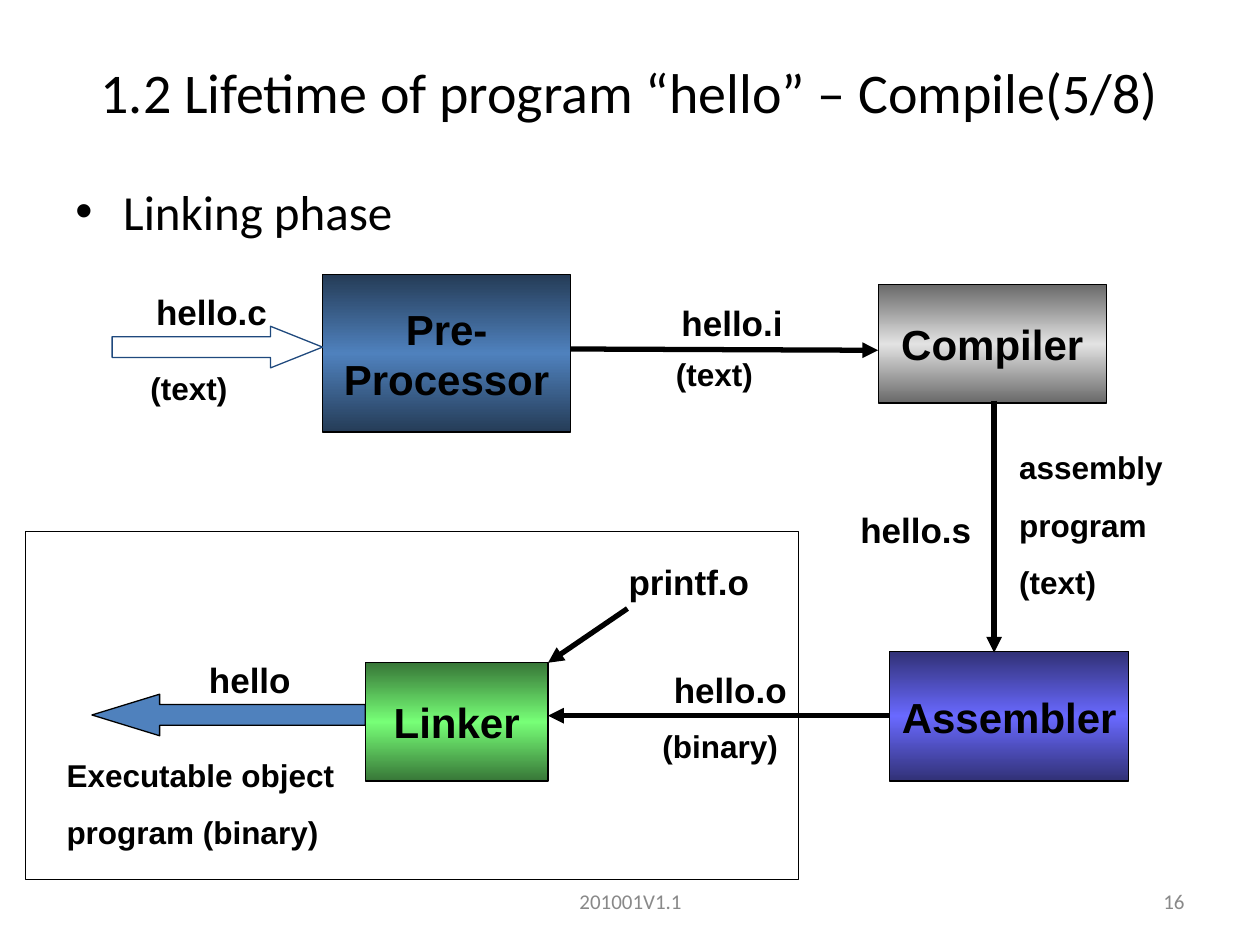
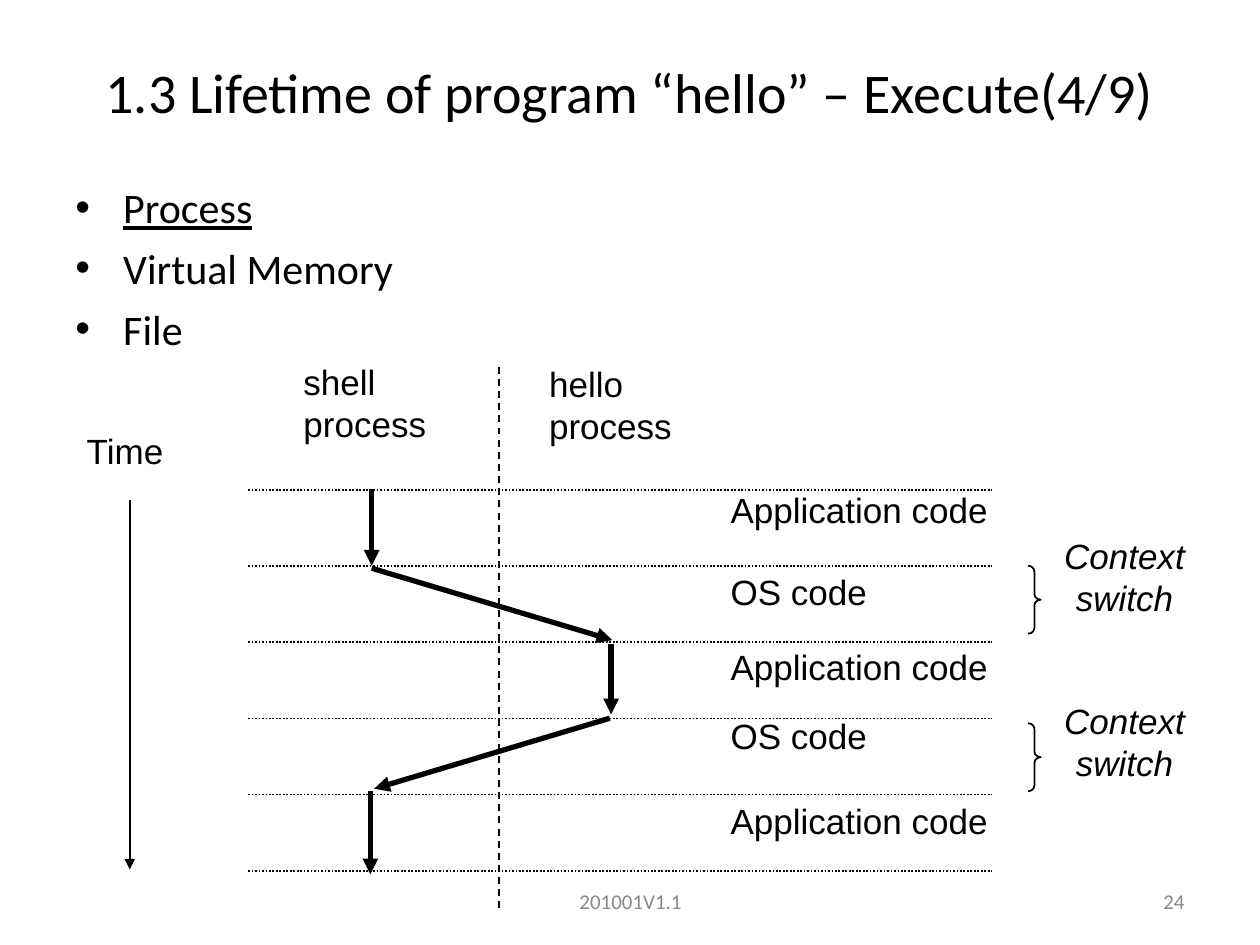
from lxml.etree import SubElement
from pptx import Presentation
from pptx.dml.color import RGBColor
from pptx.enum.dml import MSO_LINE
from pptx.enum.shapes import MSO_CONNECTOR, MSO_SHAPE
from pptx.enum.text import MSO_ANCHOR, MSO_AUTO_SIZE, PP_ALIGN
from pptx.oxml import parse_xml
from pptx.oxml.ns import nsdecls, qn
from pptx.util import Inches, Pt

BLACK, GREY, BLUE, NAVY = "000000", "898989", "4F81BD", "1F497D"
HEADING, DIAGRAM = "Calibri", "Arial"
LEFT, CENTER, RIGHT = PP_ALIGN.LEFT, PP_ALIGN.CENTER, PP_ALIGN.RIGHT
FOOTER = "201001V1.1"

COMPILE = {
    "title": "1.2 Lifetime of program “hello” – Compile(5/8)",
    "number": "16",
    "bullets": [("Linking phase", False)],
    "bullet_size": 28,
    "bullet_gap": 7,
}
EXECUTE = {
    "title": "1.3 Lifetime of program “hello” – Execute(4/9)",
    "number": "24",
    "bullets": [("Process", True), ("Virtual Memory", False), ("File", False)],
    "bullet_size": 24,
    "bullet_gap": 6,
}

STAGES = [
    (["Pre-", "Processor"], (2.56, 2.18, 1.97, 1.25), "253C57", BLUE),
    (["Compiler"], (6.97, 2.26, 1.81, 0.94), "696969", "E2E2E2"),
    (["Assembler"], (7.06, 5.17, 1.9, 1.03), "313176", "6969FF"),
    (["Linker"], (2.9, 5.26, 1.45, 0.94), "377637", "77FF77"),
]
FILE_NAMES = [
    ("hello.c", (1.14, 2.26, 1.2, 0.44)),
    ("hello.i", (5.31, 2.34, 1.15, 0.44)),
    ("hello.s", (6.73, 3.99, 1.2, 0.44)),
    ("hello.o", (5.25, 5.26, 1.2, 0.44)),
    ("hello", (1.56, 5.18, 1, 0.44)),
    ("printf.o", (4.89, 4.4, 1.3, 0.44)),
]
FILE_KINDS = [
    (["(text)"], (0.73, 2.88, 1.54, 0.4), CENTER),
    (["(text)"], (5.08, 2.77, 1.18, 0.4), CENTER),
    (["assembly", "program", "(text)"], (7.99, 3.51, 1.53, 1.32), LEFT),
    (["(binary)"], (5.16, 5.72, 1.23, 0.4), LEFT),
    (["Executable object", "program (binary)"], (0.43, 5.95, 2.36, 0.86), LEFT),
]
STAGE_ARROWS = [
    ((4.53, 2.77), (6.97, 2.78)),
    ((7.89, 3.18), (7.89, 5.18)),
    ((7.06, 5.68), (4.35, 5.68)),
    ((4.98, 4.83), (4.35, 5.26)),
]
INPUT_ARROW = (0.89, 2.59, 1.67, 0.33)
OUTPUT_ARROW = (0.73, 5.51, 2.17, 0.33)
LINKING_FRAME = (0.2, 4.22, 6.14, 2.76)

COLUMN_HEADS = [
    (["shell", "process"], (2.31, 2.81, 1.6, 0.77)),
    (["hello", "process"], (4.26, 2.83, 1.3, 0.77)),
    (["Time"], (0.59, 3.36, 1, 0.44)),
]
CODE_PERIODS = [
    ("Application code", 3.83),
    ("OS code", 4.48),
    ("Application code", 5.07),
    ("OS code", 5.62),
    ("Application code", 6.3),
]
FIRST_ROW, LAST_ROW = 3.89, 6.91
CONTROL_FLOW = [
    ((2.95, 3.88), (2.95, 4.49)),
    ((2.95, 4.51), (4.86, 5.08)),
    ((4.85, 5.11), (4.85, 5.67)),
    ((4.84, 5.7), (2.97, 6.26)),
    ((2.94, 6.28), (2.94, 6.94)),
]
SWITCHES = [((8.31, 4.19, 1.23, 0.77), 4.49), ((8.27, 5.5, 1.31, 0.77), 5.74)]


def color(value):
    """Turn a hex string into a colour."""
    return RGBColor.from_string(value)


def place(at):
    """Turn left, top, width and height into lengths."""
    return [Inches(value) for value in at]


def write(frame, lines, size, font=DIAGRAM, ink=BLACK, align=LEFT,
          before=0, bold=False, italic=False):
    """Write one paragraph per line and return the paragraphs."""
    for index, line in enumerate(lines):
        para = frame.paragraphs[0] if index == 0 else frame.add_paragraph()
        para.alignment = align
        para.space_before = Pt(before)
        span = para.add_run()
        span.text = line
        span.font.name, span.font.size = font, Pt(size)
        span.font.bold, span.font.italic = bold, italic
        span.font.color.rgb = color(ink)
    return frame.paragraphs


def add_text(page, lines, at, size, grow=True, anchor=MSO_ANCHOR.TOP, **style):
    """Add a text box and return its paragraphs."""
    frame = page.shapes.add_textbox(*place(at)).text_frame
    frame.word_wrap = True
    frame.auto_size = MSO_AUTO_SIZE.SHAPE_TO_FIT_TEXT if grow else MSO_AUTO_SIZE.NONE
    frame.vertical_anchor = anchor
    return write(frame, lines, size, **style)


def add_outline(page, kind, at, fill=None, ink=BLACK, width=0.75, adjust=()):
    """Add a preset shape with a thin line and an optional plain fill."""
    shape = page.shapes.add_shape(kind, *place(at))
    for index, value in enumerate(adjust):
        shape.adjustments[index] = value
    if fill:
        shape.fill.solid()
        shape.fill.fore_color.rgb = color(fill)
    else:
        shape.fill.background()
    shape.line.color.rgb = color(ink)
    shape.line.width = Pt(width)
    shape.shadow.inherit = False
    return shape


def add_stage(page, lines, at, edge, middle):
    """Add a box shaded from its edges to its middle."""
    box = add_outline(page, MSO_SHAPE.RECTANGLE, at)
    stops = "".join(
        f'<a:gs pos="{position}"><a:srgbClr val="{shade}"/></a:gs>'
        for position, shade in ((0, edge), (50000, middle), (100000, edge)))
    properties = box.element.spPr
    properties.replace(properties.find(qn("a:noFill")), parse_xml(
        f'<a:gradFill {nsdecls("a")} rotWithShape="1"><a:gsLst>{stops}</a:gsLst>'
        '<a:lin ang="5400000" scaled="0"/></a:gradFill>'))
    box.text_frame.word_wrap = False
    box.text_frame.vertical_anchor = MSO_ANCHOR.MIDDLE
    write(box.text_frame, lines, 24, align=CENTER, bold=True)


def add_line(page, start, end, width=1, dash=None, arrow=False):
    """Add a straight black line, with an arrowhead at its end if asked."""
    line = page.shapes.add_connector(MSO_CONNECTOR.STRAIGHT, *place(start + end))
    line.line.color.rgb = color(BLACK)
    line.line.width = Pt(width)
    if dash:
        line.line.dash_style = dash
    properties = line.element.spPr
    if arrow:
        SubElement(properties.find(qn("a:ln")), qn("a:tailEnd"), type="triangle")
    SubElement(properties, qn("a:effectLst"))


def add_bullets(page, bullets, size, gap):
    """Add the bulleted topics under the title."""
    paras = add_text(page, [text for text, _ in bullets], (0.5, 1.39, 9, 5.31), size,
                     grow=False, font=HEADING, before=gap)
    for para, (_, underlined) in zip(paras, bullets):
        para.runs[0].font.underline = underlined
        properties = para._p.get_or_add_pPr()
        properties.set("marL", str(Inches(0.38)))
        properties.set("indent", str(-Inches(0.38)))
        SubElement(properties, qn("a:buFont"), typeface=DIAGRAM)
        SubElement(properties, qn("a:buChar"), char="•")


def add_page(deck, content):
    """Add a page with its footer, title and topics."""
    page = deck.slides.add_slide(deck.slide_layouts[5])
    for text, at, align in ((FOOTER, (3.42, 6.95, 3.17, 0.4), CENTER),
                            (content["number"], (7.17, 6.95, 2.33, 0.4), RIGHT)):
        add_text(page, [text], at, 12, grow=False, anchor=MSO_ANCHOR.MIDDLE,
                 font=HEADING, ink=GREY, align=align)
    title = page.shapes.title
    title.left, title.top, title.width, title.height = place((0, 0.3, 10, 0.85))
    title.text_frame.vertical_anchor = MSO_ANCHOR.MIDDLE
    write(title.text_frame, [content["title"]], 32, font=HEADING, align=CENTER)
    add_bullets(page, content["bullets"], content["bullet_size"], content["bullet_gap"])
    return page


def build_compile(deck):
    """Build the page on the compile stages."""
    page = add_page(deck, COMPILE)
    for stage in STAGES:
        add_stage(page, *stage)
    for name, at in FILE_NAMES:
        add_text(page, [name], at, 20, bold=True)
    for lines, at, align in FILE_KINDS:
        add_text(page, lines, at, 18, align=align, before=11.2, bold=True)
    for start, end in STAGE_ARROWS:
        add_line(page, start, end, width=3, arrow=True)
    add_outline(page, MSO_SHAPE.RIGHT_ARROW, INPUT_ARROW, ink=NAVY, adjust=(0.5, 1.25))
    add_outline(page, MSO_SHAPE.LEFT_ARROW, OUTPUT_ARROW, fill=BLUE, adjust=(0.5, 1.63))
    add_outline(page, MSO_SHAPE.RECTANGLE, LINKING_FRAME)


def build_execute(deck):
    """Build the page on switching between processes."""
    page = add_page(deck, EXECUTE)
    for lines, at in COLUMN_HEADS:
        add_text(page, lines, at, 20)
    step = (LAST_ROW - FIRST_ROW) / len(CODE_PERIODS)
    for row in range(len(CODE_PERIODS) + 1):
        y = FIRST_ROW + row * step
        add_line(page, (1.97, y), (7.87, y), dash=MSO_LINE.ROUND_DOT)
    for text, top in CODE_PERIODS:
        add_text(page, [text], (5.7, top, 2.4, 0.44), 20)
    for at, brace_top in SWITCHES:
        add_outline(page, MSO_SHAPE.RIGHT_BRACE, (8.16, brace_top, 0.1, 0.54),
                    width=1, adjust=(0.45, 0.5))
        add_text(page, ["Context", "switch"], at, 20, align=CENTER, italic=True)
    for start, end in CONTROL_FLOW:
        add_line(page, start, end, width=3, arrow=True)
    add_line(page, (1.03, 3.97), (1.03, 6.9), arrow=True)
    add_line(page, (3.96, 7.21), (3.96, 2.89), dash=MSO_LINE.DASH)


def main():
    """Build and save the deck."""
    deck = Presentation()
    deck.slide_width, deck.slide_height = Inches(10), Inches(7.5)
    build_compile(deck)
    build_execute(deck)
    deck.save("out.pptx")


if __name__ == "__main__":
    main()
